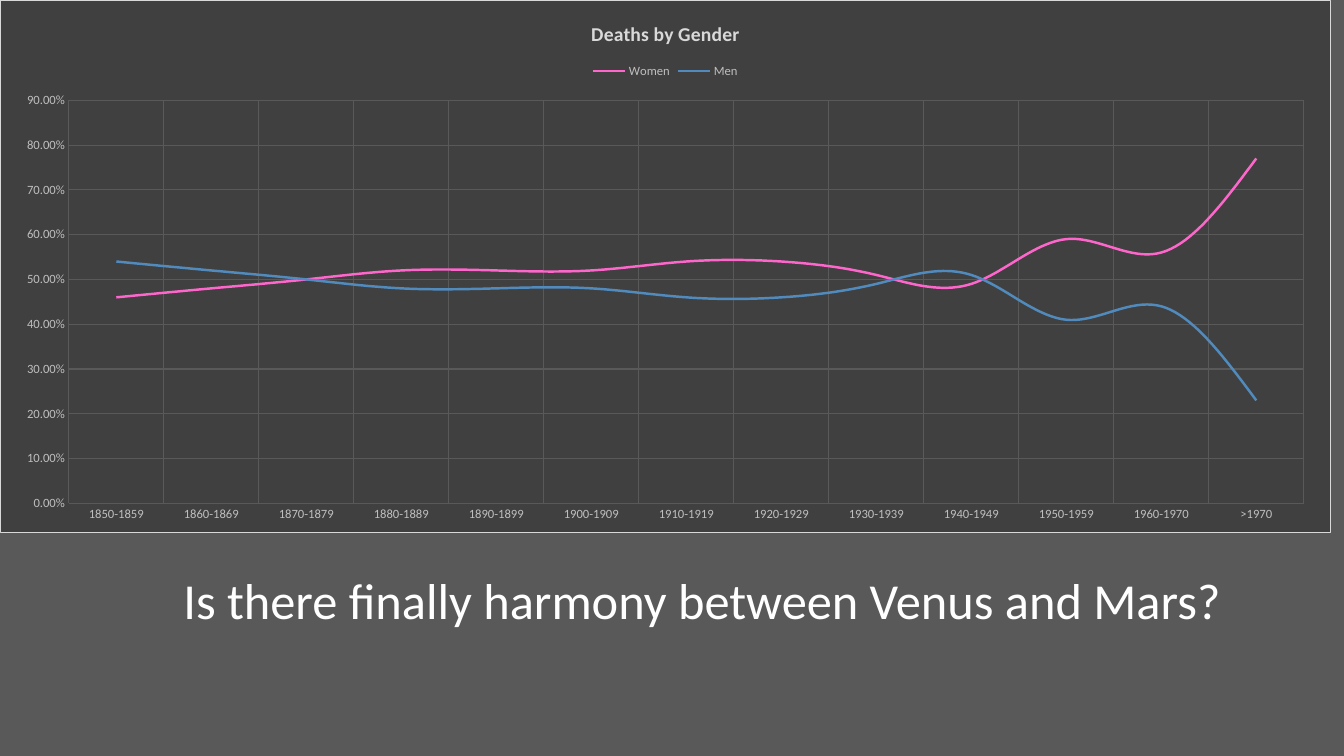
import pptx
import pptx.chart.data
import pptx.dml.color
import pptx.enum.chart
import pptx.enum.text
import pptx.oxml
import pptx.oxml.ns
import pptx.util
from dataclasses import dataclass

Inches = pptx.util.Inches
Pt = pptx.util.Pt

# Content
HEADLINE = "Is there finally harmony between Venus and Mars?"
CHART_TITLE = "Deaths by Gender"
PERIODS = [f"{year}-{year + 9}" for year in range(1850, 1960, 10)] + ["1960-1970", ">1970"]
WOMEN = [0.46, 0.48, 0.5, 0.52, 0.52, 0.52, 0.54, 0.54, 0.51, 0.49, 0.59, 0.56, 0.77]
MEN = [0.54, 0.52, 0.5, 0.48, 0.48, 0.48, 0.46, 0.46, 0.49, 0.51, 0.41, 0.44, 0.23]


@dataclass(frozen=True)
class Theme:
    font: str = "Calibri"
    background: str = "595959"
    panel: str = "404040"
    border: str = "D9D9D9"
    grid: str = "595959"
    label: str = "BFBFBF"
    chart_title: str = "D9D9D9"
    headline: str = "FFFFFF"
    women: str = "FF66CC"
    men: str = "518ABD"
    label_size: int = 9
    chart_title_size: int = 14
    headline_size: int = 36
    thin: float = 0.75
    curve: float = 1.75


THEME = Theme()


def rgb(color):
    return pptx.dml.color.RGBColor.from_string(color)


def style_font(font, size, color, bold=False):
    font.name = THEME.font
    font.size = Pt(size)
    font.bold = bold
    font.color.rgb = rgb(color)


def style_line(line, color, width):
    line.color.rgb = rgb(color)
    line.width = Pt(width)


def fill_chart_area(chart):
    area = pptx.oxml.parse_xml(
        f'<c:spPr {pptx.oxml.ns.nsdecls("c", "a")}>'
        f'<a:solidFill><a:srgbClr val="{THEME.panel}"/></a:solidFill>'
        f'<a:ln w="{Pt(THEME.thin)}"><a:solidFill><a:srgbClr val="{THEME.border}"/>'
        "</a:solidFill></a:ln></c:spPr>"
    )
    chart._chartSpace.chart.addnext(area)


def add_deaths_chart(page):
    chart_data = pptx.chart.data.CategoryChartData(number_format="0.00%")
    chart_data.categories = PERIODS
    chart_data.add_series("Women", WOMEN)
    chart_data.add_series("Men", MEN)
    chart = page.shapes.add_chart(
        pptx.enum.chart.XL_CHART_TYPE.LINE,
        Inches(0), Inches(0), Inches(13.2), Inches(5.29), chart_data,
    ).chart
    style_font(chart.font, THEME.label_size, THEME.label)
    fill_chart_area(chart)

    # Chart title and legend
    chart.has_title = True
    title_frame = chart.chart_title.text_frame
    title_frame.text = CHART_TITLE
    style_font(title_frame.paragraphs[0].font, THEME.chart_title_size,
               THEME.chart_title, bold=True)
    chart.chart_title.include_in_layout = False
    chart.has_legend = True
    chart.legend.position = pptx.enum.chart.XL_LEGEND_POSITION.TOP
    chart.legend.include_in_layout = False
    style_font(chart.legend.font, THEME.label_size, THEME.label)

    # Axes
    for axis in (chart.category_axis, chart.value_axis):
        axis.major_tick_mark = pptx.enum.chart.XL_TICK_MARK.NONE
        axis.minor_tick_mark = pptx.enum.chart.XL_TICK_MARK.NONE
        axis.has_major_gridlines = True
        style_line(axis.major_gridlines.format.line, THEME.grid, THEME.thin)
        axis.format.line.fill.background()
        style_font(axis.tick_labels.font, THEME.label_size, THEME.label)
    chart.value_axis.minimum_scale = 0
    chart.value_axis.maximum_scale = 0.9
    chart.value_axis.major_unit = 0.1
    chart.value_axis.tick_labels.number_format = "0.00%"
    chart.value_axis.tick_labels.number_format_is_linked = False

    # Curves
    chart.plots[0].vary_by_categories = False
    for series, color in zip(chart.plots[0].series, (THEME.women, THEME.men)):
        series.smooth = True
        series.marker.style = pptx.enum.chart.XL_MARKER_STYLE.NONE
        style_line(series.format.line, color, THEME.curve)


def place_headline(page):
    box = page.shapes.title
    box.left, box.top = Inches(0.89), Inches(5.6)
    box.width, box.height = Inches(12.15), Inches(0.71)
    frame = box.text_frame
    frame.text = HEADLINE
    frame.word_wrap = True
    frame.auto_size = pptx.enum.text.MSO_AUTO_SIZE.SHAPE_TO_FIT_TEXT
    frame.vertical_anchor = pptx.enum.text.MSO_ANCHOR.TOP
    para = frame.paragraphs[0]
    para.alignment = pptx.enum.text.PP_ALIGN.CENTER
    style_font(para.font, THEME.headline_size, THEME.headline)


def main():
    deck = pptx.Presentation()
    deck.slide_width, deck.slide_height = Inches(13.33), Inches(7.5)
    page = deck.slides.add_slide(deck.slide_layouts.get_by_name("Title Only"))
    page.background.fill.solid()
    page.background.fill.fore_color.rgb = rgb(THEME.background)
    add_deaths_chart(page)
    place_headline(page)
    deck.save("out.pptx")


if __name__ == "__main__":
    main()
